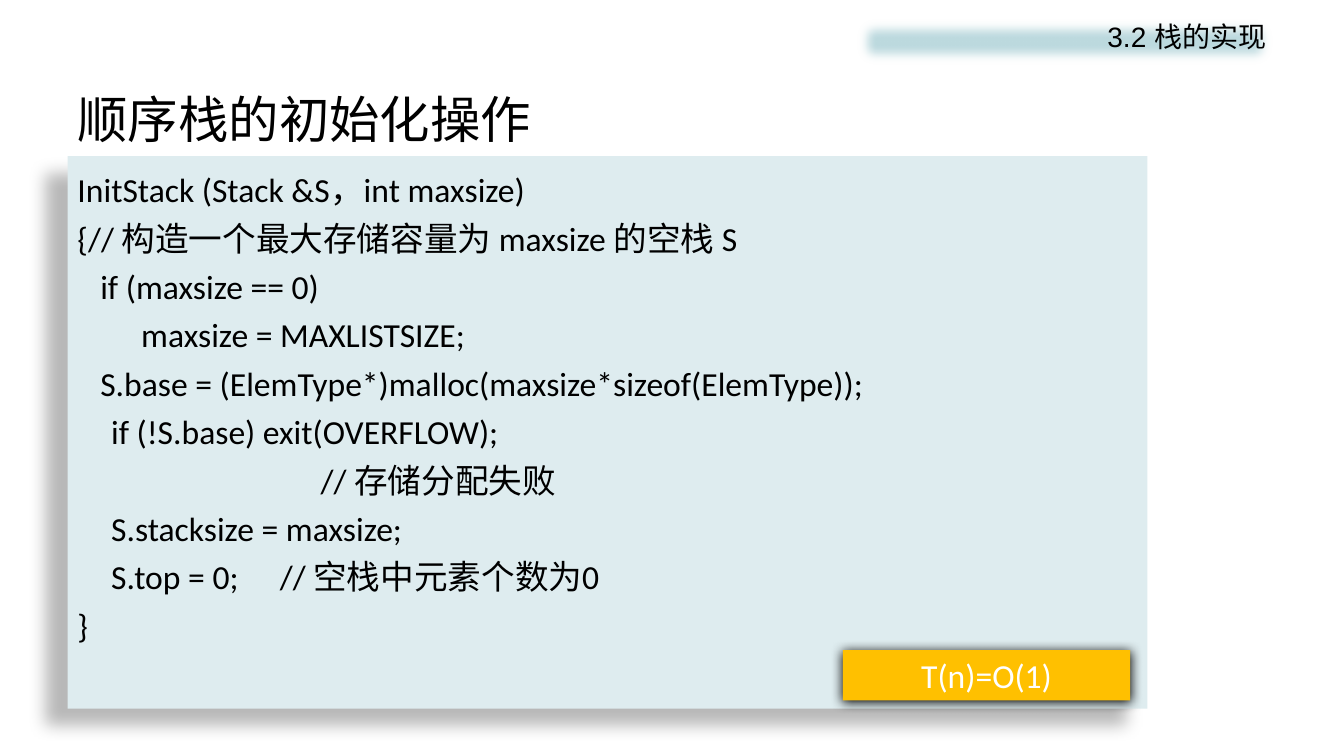
"""Builds the slide on initialising a sequential stack."""
from lxml import etree
from pptx import Presentation
from pptx.dml.color import RGBColor
from pptx.enum.shapes import MSO_SHAPE
from pptx.enum.text import MSO_ANCHOR, PP_ALIGN
from pptx.oxml.ns import qn
from pptx.util import Inches, Pt

RECTANGLE = MSO_SHAPE.RECTANGLE
TOP, MIDDLE = MSO_ANCHOR.TOP, MSO_ANCHOR.MIDDLE
LEFT, CENTER, RIGHT = PP_ALIGN.LEFT, PP_ALIGN.CENTER, PP_ALIGN.RIGHT
CJK_FONT = "Noto Sans CJK SC"


def rgb(value):
    return RGBColor.from_string(value)


def add_panel(box, fill, text, font, size, color, align, anchor):
    panel = slide.shapes.add_shape(RECTANGLE, *[Inches(v) for v in box])
    panel.shadow.inherit = False
    panel.line.fill.background()
    if fill:
        panel.fill.solid()
        panel.fill.fore_color.rgb = rgb(fill)
    else:
        panel.fill.background()
    frame = panel.text_frame
    frame.word_wrap = True
    frame.vertical_anchor = anchor
    frame.text = text
    for paragraph in frame.paragraphs:
        paragraph.alignment = align
        for run in paragraph.runs:
            run.font.name = font
            run.font.size = Pt(size)
            run.font.color.rgb = rgb(color)
            east_asian = etree.SubElement(run.font._element, qn("a:ea"))
            east_asian.set("typeface", CJK_FONT)
    return panel


code_blocks = [
    ["InitStack (Stack &S，int maxsize)",
     "{// 构造一个最大存储容量为 maxsize 的空栈 S"],
    ["   if (maxsize == 0)",
     "　    maxsize = MAXLISTSIZE;",
     "   S.base = (ElemType*)malloc(maxsize*sizeof(ElemType));",
     "　if (!S.base) exit(OVERFLOW);"],
    ["                                // 存储分配失败",
     "　S.stacksize = maxsize;",
     "　S.top = 0; 　// 空栈中元素个数为0",
     "}"],
]
code_text = "\n".join("\v".join(lines) for lines in code_blocks)

prs = Presentation()
prs.slide_width = Inches(13.33)
prs.slide_height = Inches(7.5)
slide = prs.slides.add_slide(prs.slide_layouts[6])

add_panel((0.67, 0.8, 12, 0.75), None, "顺序栈的初始化操作",
          CJK_FONT, 36, "000000", LEFT, MIDDLE)
section = add_panel((8.46, 0.14, 4.2, 0.54), "BDDADF", "3.2 栈的实现",
                    "Arial", 20, "000000", RIGHT, TOP)
code = add_panel((0.67, 1.55, 10.71, 5.48), "DEECEF", code_text,
                 "Calibri", 24, "000000", LEFT, TOP)
complexity = add_panel((8.36, 6.45, 2.85, 0.5), "FFC000", "T(n)=O(1)",
                       "Calibri", 24, "FFFFFF", CENTER, MIDDLE)

for paragraph in code.text_frame.paragraphs:
    paragraph.line_spacing = 1.2

section_effects = section._element.spPr.find(qn("a:effectLst"))
etree.SubElement(section_effects, qn("a:softEdge")).set("rad", str(Pt(8.86)))

shadows = [(code, 28, 11.8, 19.7, 141), (complexity, 100, 8.5, 1, 90)]
for panel, opacity, blur, distance, angle in shadows:
    effects = panel._element.spPr.find(qn("a:effectLst"))
    shadow = etree.SubElement(
        effects, qn("a:outerShdw"), blurRad=str(Pt(blur)),
        dist=str(Pt(distance)), dir=str(angle * 60000), rotWithShape="0")
    shade = etree.SubElement(shadow, qn("a:srgbClr"), val="000000")
    etree.SubElement(shade, qn("a:alpha"), val=str(opacity * 1000))

prs.save("out.pptx")
